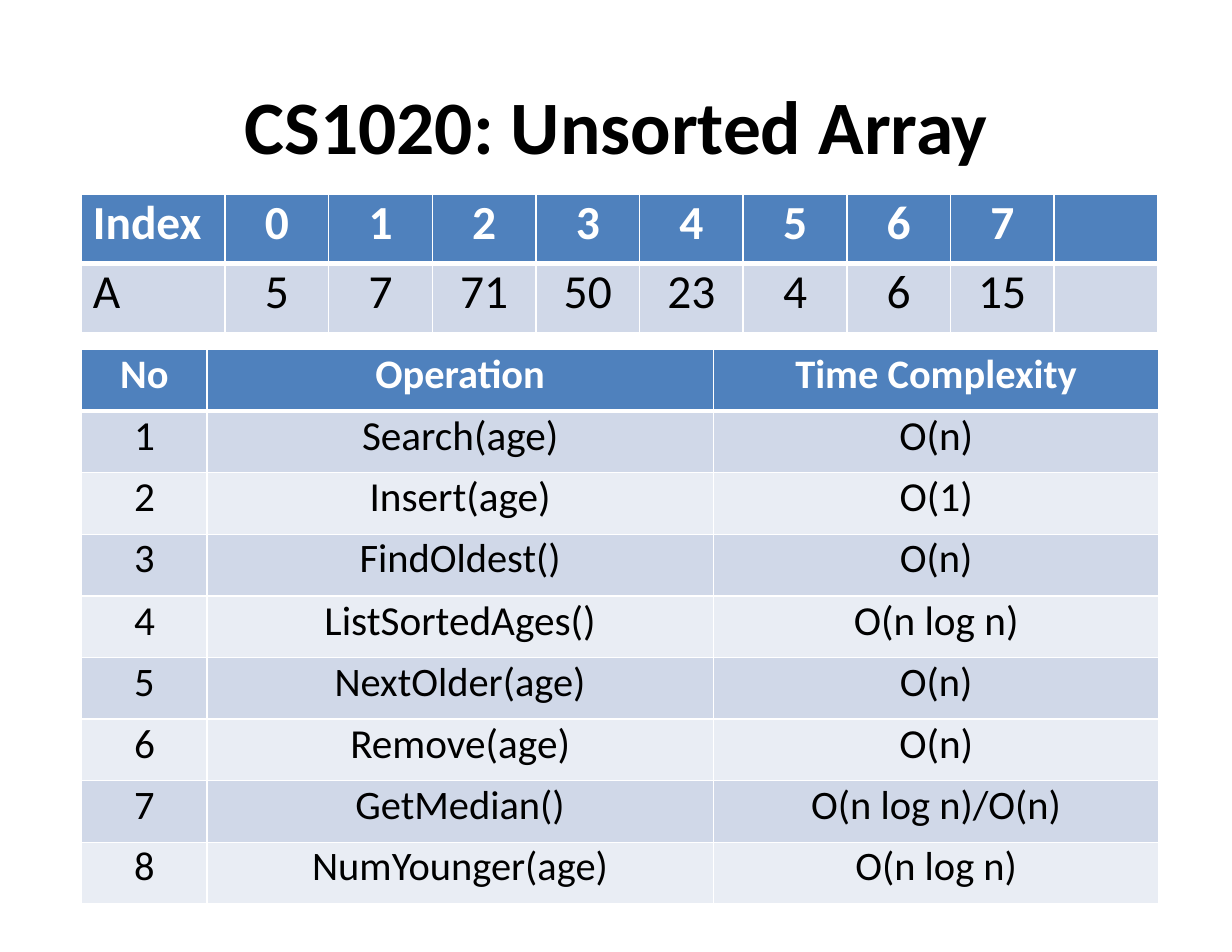
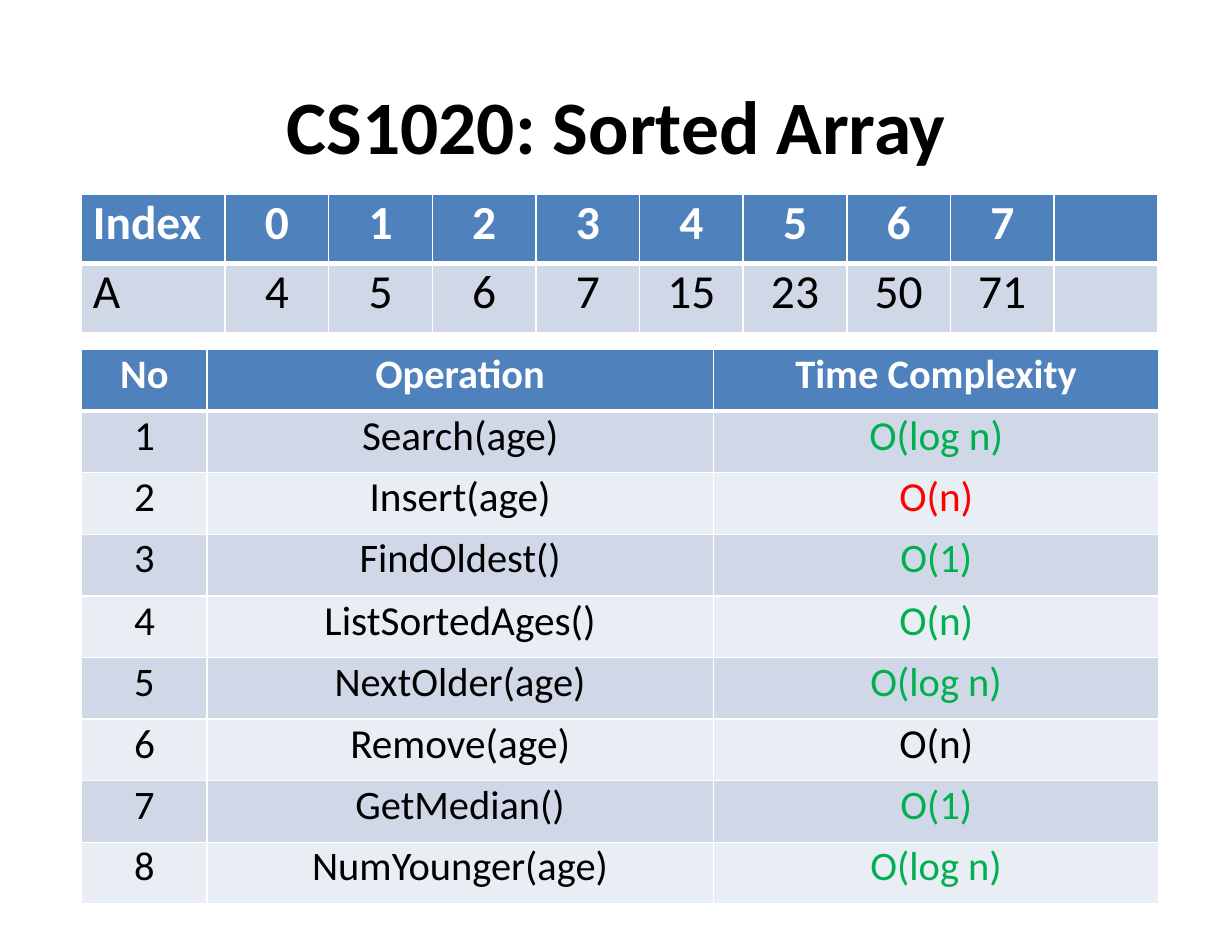
import lxml.etree
import pptx
import pptx.dml.color
import pptx.enum.text
import pptx.oxml.ns
import pptx.util

Inches, Pt = pptx.util.Inches, pptx.util.Pt
CENTER = pptx.enum.text.PP_ALIGN.CENTER
LEFT = pptx.enum.text.PP_ALIGN.LEFT

# Shared look
FONT = "Calibri"
BLACK, WHITE = "000000", "FFFFFF"
HEADER, BANDS = "4F81BD", ("D0D8E8", "E9EDF4")
BETTER, WORSE = "00B050", "FF0000"
THIN, THICK = 1.1, 3.3

# Boxes: left, top, width, height
TITLE_BOX = (0.65, 0.33, 9.71, 1.59)
ARRAY_BOX = (0.73, 1.735, 9.61, 1.24)
COMPLEXITY_BOX = (0.73, 3.12, 9.62, 4.95)

OPERATIONS = ["Search(age)", "Insert(age)", "FindOldest()", "ListSortedAges()",
              "NextOlder(age)", "Remove(age)", "GetMedian()", "NumYounger(age)"]
LARGER_ROWS = (1, 2, 4, 6)

SLIDES = [
    {"title": "CS1020: Unsorted Array",
     "values": [5, 7, 71, 50, 23, 4, 6, 15],
     "costs": ["O(n)", "O(1)", "O(n)", "O(n log n)",
               "O(n)", "O(n)", "O(n log n)/O(n)", "O(n log n)"],
     "colors": [BLACK] * 8},
    {"title": "CS1020: Sorted Array",
     "values": [4, 5, 6, 7, 15, 23, 50, 71],
     "costs": ["O(log n)", "O(n)", "O(1)", "O(n)",
               "O(log n)", "O(n)", "O(1)", "O(log n)"],
     "colors": [BETTER, WORSE, BETTER, BETTER, BETTER, BLACK, BETTER, BETTER]},
]


def rgb(color):
    return pptx.dml.color.RGBColor.from_string(color)


def write(frame, text, size, color=BLACK, bold=False, align=CENTER):
    para = frame.paragraphs[0]
    para.alignment = align
    span = para.add_run()
    span.text = text
    for name, value in {"name": FONT, "size": Pt(size), "bold": bold}.items():
        setattr(span.font, name, value)
    span.font.color.rgb = rgb(color)


def set_borders(cell, top, bottom):
    properties = cell._tc.get_or_add_tcPr()
    widths = {"lnL": THIN, "lnR": THIN, "lnT": top, "lnB": bottom}
    for position, (side, width) in enumerate(widths.items()):
        line = lxml.etree.Element(pptx.oxml.ns.qn(f"a:{side}"), w=str(Pt(width)))
        fill = lxml.etree.SubElement(line, pptx.oxml.ns.qn("a:solidFill"))
        lxml.etree.SubElement(fill, pptx.oxml.ns.qn("a:srgbClr"), val=WHITE)
        properties.insert(position, line)


def add_grid(page, box, widths, row_count):
    """Add a table with a header row, banded rows and white rules."""
    left, top, width, height = map(Inches, box)
    table = page.shapes.add_table(row_count, len(widths), left, top, width, height).table
    table.first_row = table.horz_banding = False
    for column, column_width in zip(table.columns, widths):
        column.width = Inches(column_width)
    for index, row in enumerate(table.rows):
        row.height = Inches(box[3] / row_count)
        for cell in row.cells:
            for side in ("left", "top", "right", "bottom"):
                setattr(cell, f"margin_{side}", 0)
            cell.fill.solid()
            cell.fill.fore_color.rgb = rgb(BANDS[(index - 1) % 2] if index else HEADER)
            set_borders(cell, THICK if index == 1 else THIN, THIN if index else THICK)
    return table


def add_title(page, box, text):
    frame = page.shapes.add_textbox(*map(Inches, box)).text_frame
    margins = {"left": 0, "top": 0.38, "right": 0, "bottom": 0}
    for side, margin in margins.items():
        setattr(frame, f"margin_{side}", Inches(margin))
    frame.word_wrap = True
    write(frame, text, 48.5, bold=True)


def add_array(page, box, values):
    label_width, slots = 1.28, len(values) + 1
    widths = [label_width] + [(box[2] - label_width) / slots] * slots
    table = add_grid(page, box, widths, 2)
    rows = [["Index", *range(len(values))], ["A", *values]]
    for index, row in enumerate(rows):
        for column, value in enumerate(row):
            cell = table.cell(index, column)
            if column == 0:
                cell.margin_left = Inches(0.1)
            write(cell.text_frame, str(value), 30.5, BLACK if index else WHITE,
                  index == 0, CENTER if column else LEFT)


def add_complexities(page, box, costs, colors):
    table = add_grid(page, box, [1.12, 4.52, 3.98], len(OPERATIONS) + 1)
    for column, heading in enumerate(["No", "Operation", "Time Complexity"]):
        write(table.cell(0, column).text_frame, heading, 26, WHITE, True)
    for number, (operation, cost, color) in enumerate(zip(OPERATIONS, costs, colors), 1):
        size = 26.5 if number in LARGER_ROWS else 26
        entries = [(str(number), BLACK), (operation, BLACK), (cost, color)]
        for column, (text, text_color) in enumerate(entries):
            write(table.cell(number, column).text_frame, text, size, text_color)


def main():
    deck = pptx.Presentation()
    deck.slide_width, deck.slide_height = Inches(11), Inches(8.5)
    for content in SLIDES:
        page = deck.slides.add_slide(deck.slide_layouts[6])
        add_title(page, TITLE_BOX, content["title"])
        add_array(page, ARRAY_BOX, content["values"])
        add_complexities(page, COMPLEXITY_BOX, content["costs"], content["colors"])
    deck.save("out.pptx")


if __name__ == "__main__":
    main()
